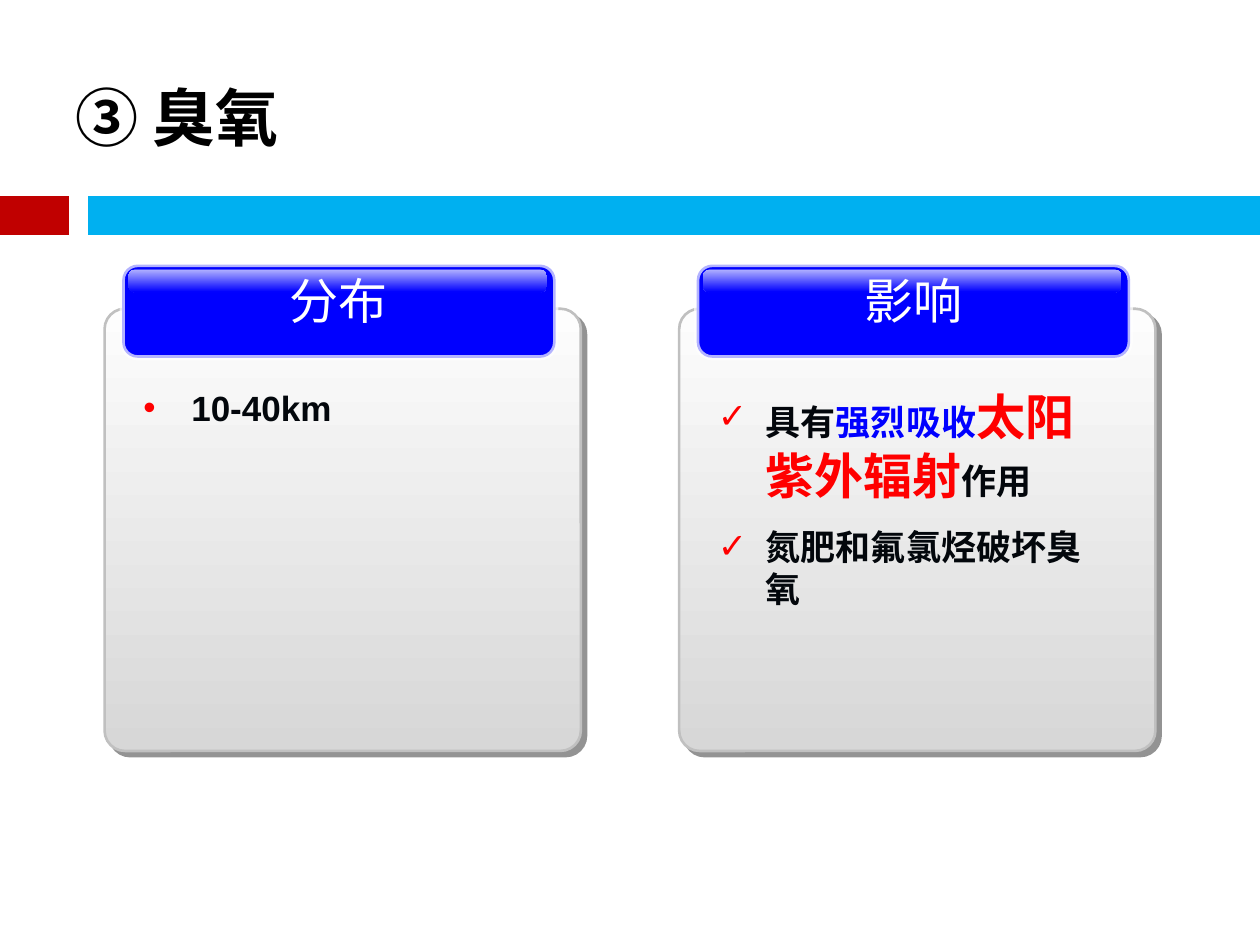
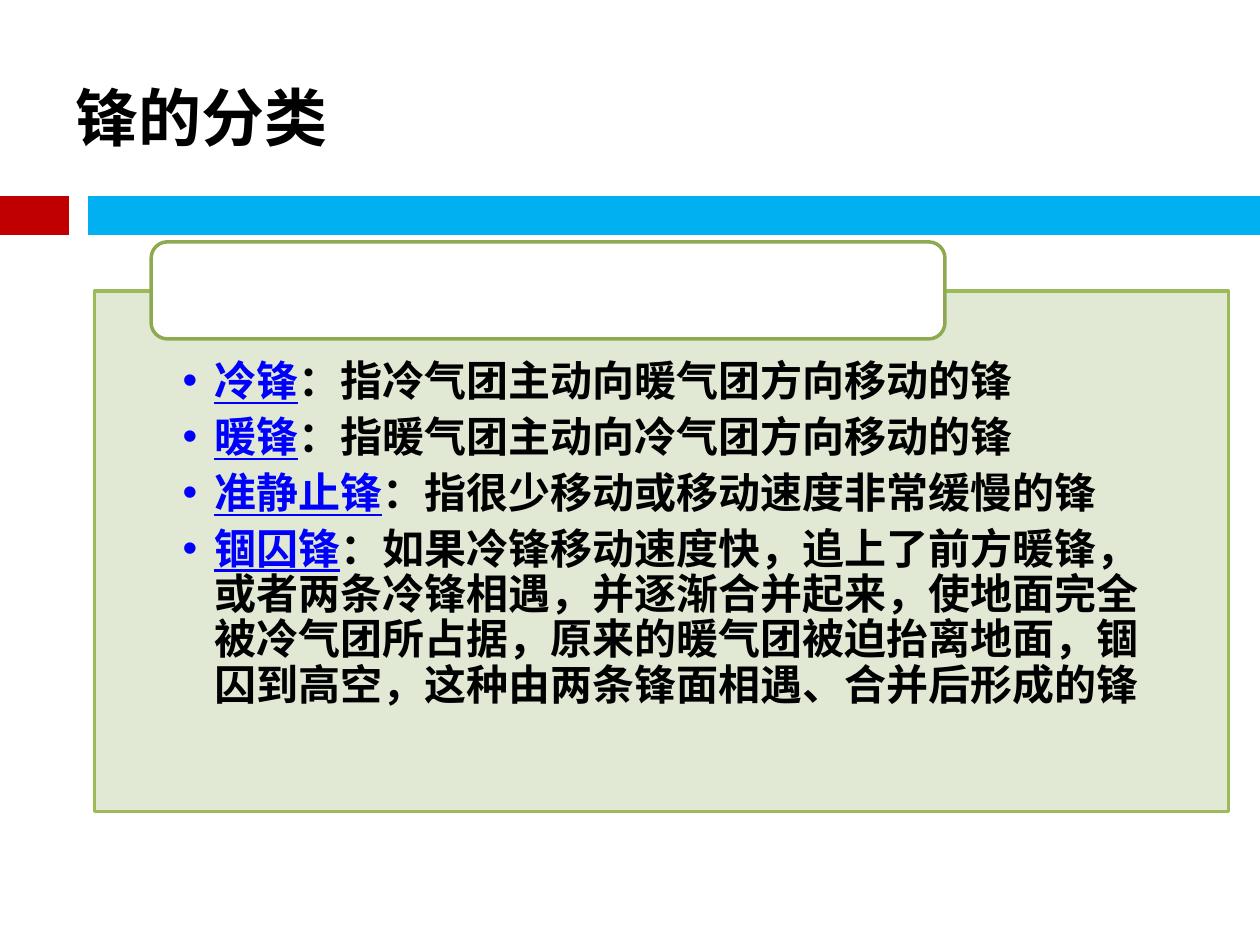
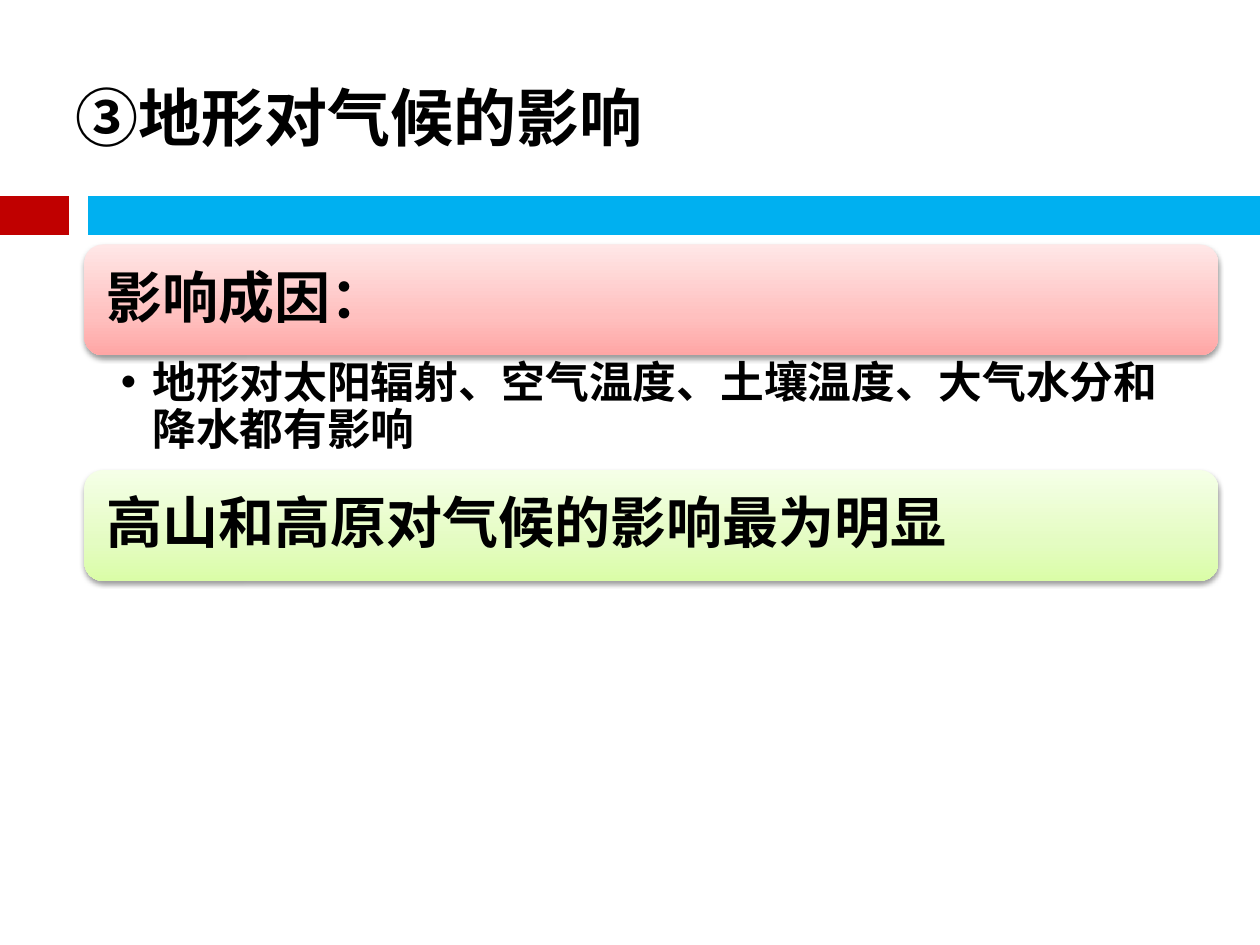
from pptx import Presentation
from pptx.dml.color import RGBColor
from pptx.enum.shapes import MSO_CONNECTOR, MSO_SHAPE
from pptx.enum.text import MSO_ANCHOR, PP_ALIGN
from pptx.oxml.ns import qn
from pptx.util import Inches, Pt
from lxml.etree import SubElement

COLORS = {
    "black": "000000", "white": "FFFFFF", "ink": "03070C",
    "red": "FF0000", "blue": "0000FF",
    "band_red": "C00000", "band_blue": "00B0F0",
    "card_light": "FDFDFD", "card_dark": "D7D7D7",
    "card_edge": "C0C0C0", "card_shadow": "292929",
    "panel": "DEE7D1", "panel_edge": "9BBB59", "label_edge": "8DAA51",
}
CJK_FONT = "Noto Sans CJK SC"
PINK_BAR = [(0, "FFE7E7"), (65, "FFC0BF"), (100, "FFA6A5")]
GREEN_BAR = [(0, "F5FFE7"), (65, "E4FCC2"), (100, "DAFDA7")]


def rgb(name):
    return RGBColor.from_string(COLORS[name])


# Fills and effects
def set_alpha(parent, percent):
    for color in parent.iter(qn("a:srgbClr")):
        SubElement(color, qn("a:alpha"), val=str(percent * 1000))


def set_gradient(shape, stops):
    """Fill from top to bottom with (percent, hex) stops."""
    shape.fill.gradient()
    shape.fill.gradient_angle = 270
    stop_list = shape.element.spPr.find(".//" + qn("a:gsLst"))
    for stop in list(stop_list):
        stop_list.remove(stop)
    for percent, color in stops:
        stop = SubElement(stop_list, qn("a:gs"), pos=str(percent * 1000))
        SubElement(stop, qn("a:srgbClr"), val=color)


def set_shadow(shape, color, alpha, blur, distance, angle):
    effects = shape.element.spPr.find(qn("a:effectLst"))
    shadow = SubElement(effects, qn("a:outerShdw"), blurRad=str(Pt(blur)),
                        dist=str(Pt(distance)), dir=str(angle * 60000),
                        algn="tl", rotWithShape="0")
    SubElement(shadow, qn("a:srgbClr"), val=COLORS[color])
    set_alpha(shadow, alpha)


# Text
def format_run(run, size, color, font=CJK_FONT, bold=True, underline=None):
    run.font.size = Pt(size)
    run.font.name = font
    run.font.bold = bold
    run.font.underline = underline
    run.font.color.rgb = rgb(color)
    SubElement(run.font._element, qn("a:ea"), typeface=CJK_FONT)


def set_bullet(paragraph, char, indent, color=None):
    props = paragraph._p.get_or_add_pPr()
    props.set("marL", str(Inches(indent)))
    props.set("indent", str(-Inches(indent)))
    if color:
        SubElement(SubElement(props, qn("a:buClr")), qn("a:srgbClr"),
                   val=COLORS[color])
    SubElement(props, qn("a:buFont"), typeface="Arial")
    SubElement(props, qn("a:buChar"), char=char)


def set_margins(frame, left, top, right, bottom):
    frame.word_wrap = True
    frame.margin_left, frame.margin_top = Inches(left), Inches(top)
    frame.margin_right, frame.margin_bottom = Inches(right), Inches(bottom)


def write_bullets(frame, items, font, char, indent, color=None, level=1,
                  before=0, after=0, spacing=None):
    """Each item is a list of (text, size, color, underline) pieces."""
    for number, pieces in enumerate(items):
        paragraph = frame.add_paragraph() if number else frame.paragraphs[0]
        paragraph.level = level
        paragraph.alignment = PP_ALIGN.LEFT
        paragraph.space_before = Pt(before if number else 0)
        paragraph.space_after = Pt(after)
        paragraph.line_spacing = spacing
        set_bullet(paragraph, char, indent, color)
        for text, size, piece_color, underline in pieces:
            run = paragraph.add_run()
            run.text = text
            format_run(run, size, piece_color, font, underline=underline)


# Elements
def add_text_box(slide, left, top, width, height):
    box = slide.shapes.add_textbox(Inches(left), Inches(top),
                                   Inches(width), Inches(height))
    box.text_frame.word_wrap = True
    return box.text_frame


def add_block(slide, left, top, width, height, corner=None, fill=None,
              edge=None, edge_width=0):
    kind = MSO_SHAPE.RECTANGLE if corner is None else MSO_SHAPE.ROUNDED_RECTANGLE
    block = slide.shapes.add_shape(kind, Inches(left), Inches(top),
                                   Inches(width), Inches(height))
    block.shadow.inherit = False
    if corner is not None:
        block.adjustments[0] = corner
    if fill:
        block.fill.solid()
        block.fill.fore_color.rgb = rgb(fill)
    if edge:
        block.line.color.rgb = rgb(edge)
        block.line.width = Pt(edge_width)
    else:
        block.line.fill.background()
    return block


def add_band(slide, start, end, color):
    y = Inches(1.71)
    band = slide.shapes.add_connector(MSO_CONNECTOR.STRAIGHT,
                                      Inches(start), y, Inches(end), y)
    band.line.color.rgb = rgb(color)
    band.line.width = Pt(22)
    SubElement(band.element.spPr, qn("a:effectLst"))


def add_titled_slide(prs, heading):
    slide = prs.slides.add_slide(prs.slide_layouts[5])
    add_band(slide, 0, 0.55, "band_red")
    add_band(slide, 0.7, 10, "band_blue")
    title = slide.shapes.title
    title.left, title.top = Inches(0.5), Inches(0.3)
    title.width, title.height = Inches(9), Inches(1.25)
    title.text_frame.text = heading
    title.text_frame.vertical_anchor = MSO_ANCHOR.MIDDLE
    paragraph = title.text_frame.paragraphs[0]
    paragraph.alignment = PP_ALIGN.LEFT
    format_run(paragraph.runs[0], 36, "black")
    return slide


def add_card(slide, left, heading, items, char, level):
    """Grey card with a glossy blue heading tab and a bullet list."""
    card = add_block(slide, left, 2.45, 3.78, 3.51, 0.046,
                     edge="card_edge", edge_width=1.5)
    set_gradient(card, [(0, COLORS["card_light"]), (100, COLORS["card_dark"])])
    set_shadow(card, "card_shadow", 50, 0, 4.2, 45)

    tab = add_block(slide, left + 0.14, 2.1, 3.44, 0.74, 0.167,
                    "blue", "white", 3)
    set_alpha(tab.element.spPr.find(qn("a:ln")), 70)
    gloss = add_block(slide, left + 0.19, 2.14, 3.32, 0.18, 0.284)
    set_gradient(gloss, [(0, COLORS["white"]), (100, COLORS["blue"])])
    set_alpha(gloss.element.spPr, 70)

    label = add_text_box(slide, left + 0.14, 2.1, 3.44, 0.57)
    label.text = heading
    label.paragraphs[0].alignment = PP_ALIGN.CENTER
    format_run(label.paragraphs[0].runs[0], 28, "white", bold=False)

    body = add_text_box(slide, left + 0.21, 3.02, 3.3, 2.89)
    write_bullets(body, items, "Arial", char, 0.38, "red", level, before=12)


def add_bar(slide, top, text, stops):
    bar = add_block(slide, 0.67, top, 9, 0.88, 0.167)
    set_gradient(bar, stops)
    set_shadow(bar, "black", 38, 3.1, 1.6, 90)
    frame = bar.text_frame
    set_margins(frame, 0.13, 0.13, 0.13, 0.13)
    frame.vertical_anchor = MSO_ANCHOR.MIDDLE
    frame.text = text
    paragraph = frame.paragraphs[0]
    paragraph.alignment = PP_ALIGN.LEFT
    paragraph.line_spacing = 0.9
    format_run(paragraph.runs[0], 32, "black", "Calibri")


# Slides
def build_ozone(prs):
    slide = add_titled_slide(prs, "③ 臭氧")
    distribution = [[("10-40km", 20, "ink", None)]]
    effects = [
        [("具有", 20, "ink", None), ("强烈吸收", 20, "blue", None),
         ("太阳紫外辐射", 28, "red", None), ("作用", 20, "ink", None)],
        [("氮肥和氟氯烃破坏臭氧", 20, "ink", None)],
    ]
    add_card(slide, 0.83, "分布", distribution, "•", 1)
    add_card(slide, 5.39, "影响", effects, "✓", 2)


def build_fronts(prs):
    slide = add_titled_slide(prs, "锋的分类")
    fronts = [
        ("冷锋", "：指冷气团主动向暖气团方向移动的锋"),
        ("暖锋", "：指暖气团主动向冷气团方向移动的锋"),
        ("准静止锋", "：指很少移动或移动速度非常缓慢的锋"),
        ("锢囚锋", "：如果冷锋移动速度快，追上了前方暖锋，或者两条冷锋相遇，"
                "并逐渐合并起来，使地面完全被冷气团所占据，原来的暖气团被迫"
                "抬离地面，锢囚到高空，这种由两条锋面相遇、合并后形成的锋"),
    ]
    panel = add_block(slide, 0.75, 2.31, 9, 4.13, fill="panel",
                      edge="panel_edge", edge_width=2)
    set_alpha(panel.element.spPr.find(qn("a:solidFill")), 90)
    frame = panel.text_frame
    set_margins(frame, 0.7, 0.55, 0.7, 0.19)
    frame.vertical_anchor = MSO_ANCHOR.TOP
    items = [[(name, 24, "blue", True), (meaning, 24, "black", False)]
             for name, meaning in fronts]
    write_bullets(frame, items, "Calibri", "•", 0.25, after=6, spacing=0.9)
    add_block(slide, 1.2, 1.92, 6.3, 0.77, 0.167, "white", "label_edge", 2)


def build_terrain(prs):
    slide = add_titled_slide(prs, "③地形对气候的影响")
    add_bar(slide, 1.94, "影响成因：", PINK_BAR)
    causes = add_text_box(slide, 0.67, 2.82, 9, 0.91)
    set_margins(causes, 0.29, 0.04, 0.25, 0.04)
    items = [[("地形对太阳辐射、空气温度、土壤温度、大气水分和降水都有影响",
               25, "black", None)]]
    write_bullets(causes, items, "Calibri", "•", 0.25, spacing=0.9)
    add_bar(slide, 3.73, "高山和高原对气候的影响最为明显", GREEN_BAR)


def main():
    prs = Presentation()
    prs.slide_width, prs.slide_height = Inches(10), Inches(7.5)
    build_ozone(prs)
    build_fronts(prs)
    build_terrain(prs)
    prs.save("out.pptx")


if __name__ == "__main__":
    main()
